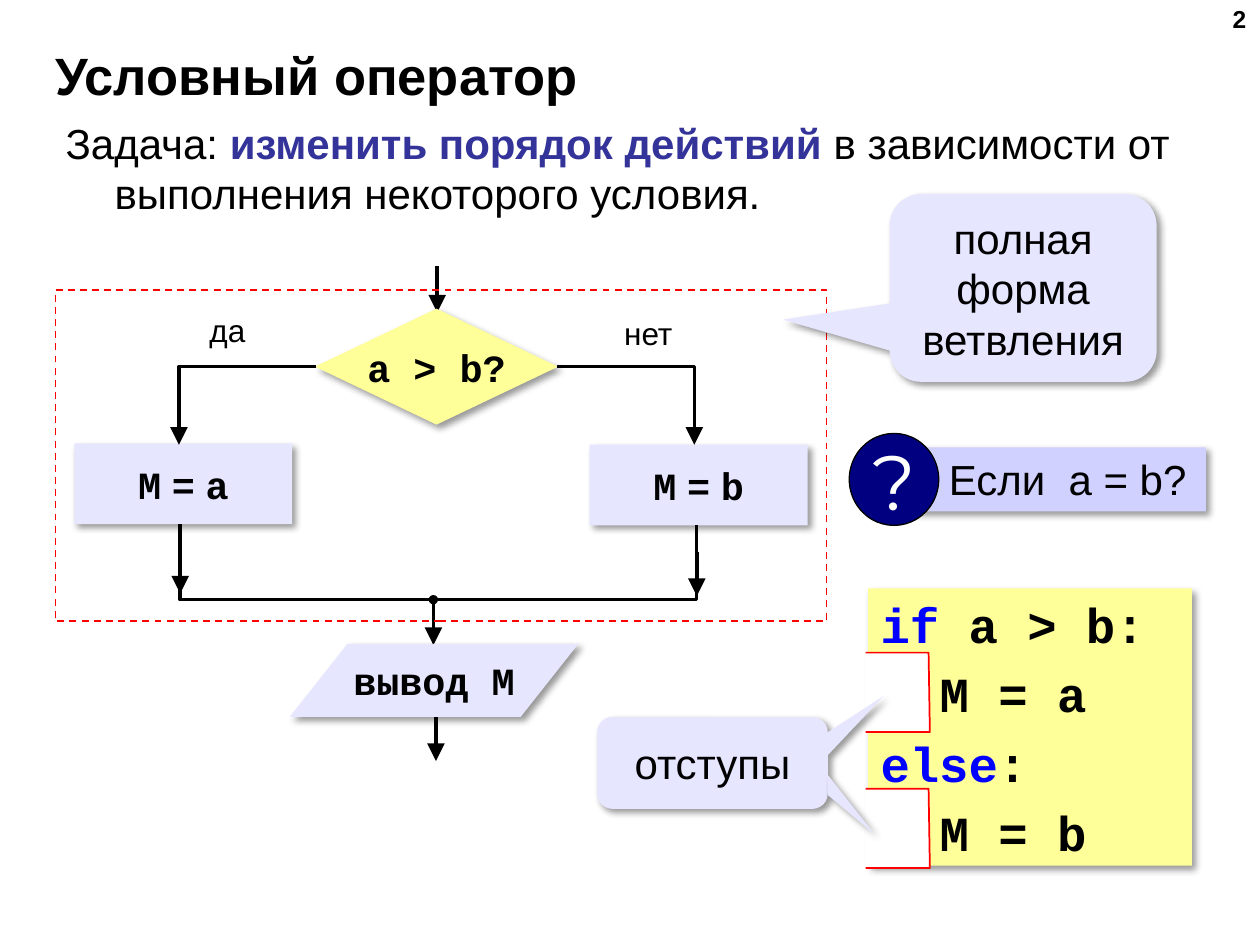
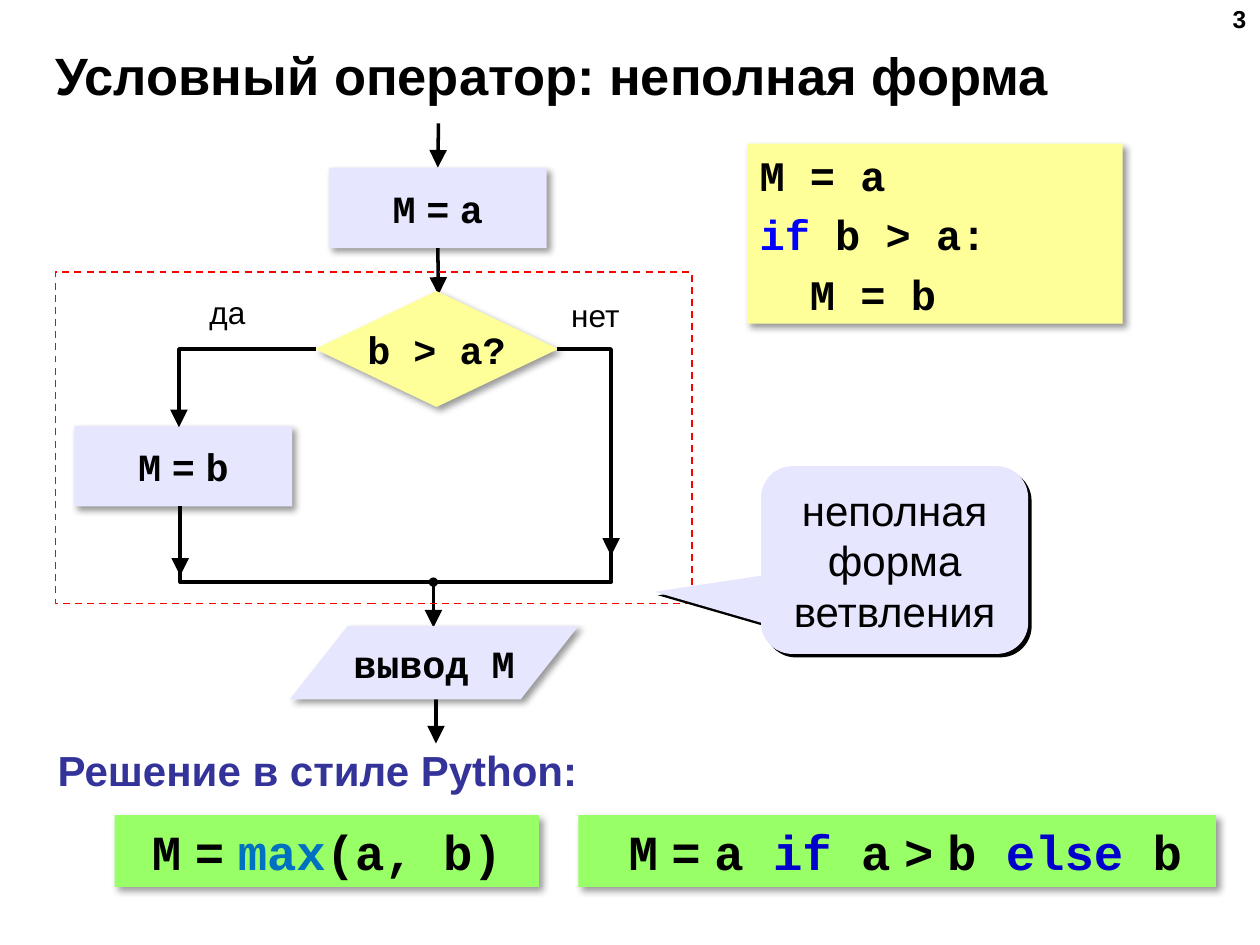
"""Builds two slides on the conditional operator: full and short form."""
from dataclasses import dataclass, replace

from lxml.etree import SubElement
from pptx import Presentation
from pptx.dml.color import RGBColor
from pptx.enum.dml import MSO_LINE
from pptx.enum.shapes import MSO_CONNECTOR, MSO_SHAPE
from pptx.enum.text import MSO_ANCHOR, MSO_AUTO_SIZE, PP_ALIGN
from pptx.oxml.ns import qn
from pptx.util import Pt

PX = 9144
BLACK = RGBColor(0x00, 0x00, 0x00)
WHITE = RGBColor(0xFF, 0xFF, 0xFF)
RED = RGBColor(0xFF, 0x00, 0x00)
INDIGO = RGBColor(0x33, 0x33, 0x99)
NAVY = RGBColor(0x00, 0x00, 0x80)
KEYWORD = RGBColor(0x00, 0x00, 0xFF)
DARK_KEYWORD = RGBColor(0x00, 0x00, 0xCC)
BUILTIN = RGBColor(0x00, 0x70, 0xC0)
LAVENDER = RGBColor(0xE6, 0xE6, 0xFF)
LILAC = RGBColor(0xD1, 0xD1, 0xFF)
YELLOW = RGBColor(0xFF, 0xFF, 0x99)
GREEN = RGBColor(0x99, 0xFF, 0x66)
SANS, MONO, DISPLAY = "Arial", "Courier New", "Montserrat"


@dataclass(frozen=True)
class Box:
    left: int
    top: int
    width: int
    height: int

    def emu(self) -> tuple:
        return tuple(v * PX for v in (self.left, self.top, self.width, self.height))

    def down(self, dy: int) -> "Box":
        return replace(self, top=self.top + dy)


@dataclass(frozen=True)
class Style:
    font: str = SANS
    size: int = 24
    bold: bool = False
    color: RGBColor = BLACK
    align: PP_ALIGN = PP_ALIGN.LEFT
    anchor: MSO_ANCHOR = MSO_ANCHOR.TOP
    wrap: bool = True


@dataclass(frozen=True)
class Run:
    text: str
    color: RGBColor | None = None
    font: str | None = None
    bold: bool | None = None


@dataclass(frozen=True)
class Line:
    runs: tuple
    indent: int = 0
    first: int = 0


@dataclass(frozen=True)
class Shadow:
    alpha: int = 40
    blur: float = 4
    dist: float = 3


@dataclass(frozen=True)
class Branch:
    """What differs between the two flowcharts."""
    dy: int
    condition: str
    yes_step: str
    no_arm: tuple
    merge_x: int
    no_label_x: int
    frame_width: int


SOFT = Shadow()
HARD = Shadow(100, 0, 2.8)
PLAIN = Style()
TITLE = Style(size=30, bold=True, anchor=MSO_ANCHOR.MIDDLE)
NUMBER = Style(size=14, bold=True, align=PP_ALIGN.RIGHT)
HEADING = Style(bold=True, color=INDIGO)
LABEL = Style(size=18, align=PP_ALIGN.CENTER)
STEP = Style(MONO, 22, True, BLACK, PP_ALIGN.CENTER, MSO_ANCHOR.MIDDLE, False)
CALLOUT = Style(align=PP_ALIGN.CENTER, anchor=MSO_ANCHOR.MIDDLE)
MARK = Style(DISPLAY, 44, False, WHITE, PP_ALIGN.CENTER, MSO_ANCHOR.MIDDLE, False)
CODE = Style(MONO, 28, True)
SMALL_CODE = replace(CODE, size=24)
CENTERED_CODE = replace(CODE, align=PP_ALIGN.CENTER)


def plain(text: str) -> Line:
    return Line((Run(text),))


def tight(text: str) -> tuple:
    """Monospaced words joined by narrow proportional spaces."""
    parts = text.replace(" ", "| |").split("|")
    return tuple(Run(s, font=SANS if s == " " else MONO) for s in parts if s)


def write(tf, lines: list, style: Style) -> None:
    tf.word_wrap = style.wrap
    tf.auto_size = MSO_AUTO_SIZE.NONE
    tf.vertical_anchor = style.anchor
    for i, line in enumerate(lines):
        p = tf.add_paragraph() if i else tf.paragraphs[0]
        p.text = line.runs[0].text
        for run in line.runs[1:]:
            p.add_run().text = run.text
        p.alignment = style.align
        p.space_before = Pt(round(style.size * 0.21) if i else 0)
        pPr = p._p.get_or_add_pPr()
        pPr.set("marL", str(line.indent * PX))
        pPr.set("indent", str(line.first * PX))
        SubElement(pPr, qn("a:buNone"))
        for r, run in zip(p.runs, line.runs):
            r.font.name = run.font or style.font
            r.font.size = Pt(style.size)
            r.font.bold = style.bold if run.bold is None else run.bold
            r.font.color.rgb = run.color or style.color


def paint(sp, fill: RGBColor | None = None, line: RGBColor | None = None,
          width: float = 1, shadow: Shadow | None = None) -> None:
    if fill is None:
        sp.fill.background()
    else:
        sp.fill.solid()
        sp.fill.fore_color.rgb = fill
    if line is None:
        sp.line.fill.background()
    else:
        sp.line.color.rgb = line
        sp.line.width = Pt(width)
    sp.shadow.inherit = False
    if shadow:
        effects = sp.element.spPr.find(qn("a:effectLst"))
        outer = SubElement(effects, qn("a:outerShdw"), blurRad=str(Pt(shadow.blur)),
                           dist=str(Pt(shadow.dist)), dir="2700000", algn="tl",
                           rotWithShape="0")
        color = SubElement(outer, qn("a:srgbClr"), val=str(BLACK))
        SubElement(color, qn("a:alpha"), val=str(shadow.alpha * 1000))


def add_arrowhead(sp) -> None:
    ln = sp.element.spPr.find(qn("a:ln"))
    SubElement(ln, qn("a:tailEnd"), type="triangle", w="lg", len="lg")


def add_text(s, box: Box, lines: list, style: Style) -> None:
    write(s.shapes.add_textbox(*box.emu()).text_frame, lines, style)


def add_panel(s, kind: MSO_SHAPE, box: Box, fill: RGBColor, lines: list,
              style: Style, shadow: Shadow = SOFT):
    sp = s.shapes.add_shape(kind, *box.emu())
    paint(sp, fill, shadow=shadow)
    write(sp.text_frame, lines, style)
    return sp


def add_step(s, box: Box, text: str):
    return add_panel(s, MSO_SHAPE.RECTANGLE, box, LAVENDER, [Line(tight(text))], STEP)


def add_callout(s, box: Box, text: str, tip: tuple, shadow: Shadow = SOFT) -> None:
    sp = add_panel(s, MSO_SHAPE.ROUNDED_RECTANGULAR_CALLOUT, box, LAVENDER,
                   [plain(text)], CALLOUT, shadow)
    sp.adjustments[0], sp.adjustments[1] = tip
    sp.adjustments[2] = 0.167


def add_arrow(s, x: int, top: int, bottom: int):
    c = s.shapes.add_connector(MSO_CONNECTOR.STRAIGHT, x * PX, top * PX, x * PX, bottom * PX)
    c.line.color.rgb = BLACK
    c.line.width = Pt(2)
    add_arrowhead(c)
    SubElement(c.element.spPr, qn("a:effectLst"))
    return c


def add_path(s, points: tuple, dy: int = 0, close: bool = False):
    moved = [(x, y + dy) for x, y in points]
    fb = s.shapes.build_freeform(*moved[0], scale=PX)
    fb.add_line_segments(moved[1:], close=close)
    return fb.convert_to_shape()


def add_flow_line(s, points: tuple, dy: int, arrow: bool = True) -> None:
    sp = add_path(s, points, dy)
    paint(sp, line=BLACK, width=2)
    if arrow:
        add_arrowhead(sp)


def add_branch(s, b: Branch) -> None:
    dy = b.dy
    add_step(s, Box(59, 352, 173, 64).down(dy), b.yes_step)
    add_panel(s, MSO_SHAPE.FLOWCHART_DECISION, Box(250, 245, 193, 92).down(dy), YELLOW,
              [plain(b.condition)], STEP)
    add_flow_line(s, b.no_arm, dy)
    add_flow_line(s, ((251, 291), (142, 291), (142, 353)), dy)
    add_flow_line(s, ((143, 416), (143, 476), (b.merge_x, 476), (b.merge_x, 417)), dy, False)
    for x, top, bottom in ((143, 436, 471), (344, 477, 512), (346, 569, 604)):
        add_arrow(s, x, top + dy, bottom + dy)
    dot = s.shapes.add_shape(MSO_SHAPE.OVAL, *Box(341, 473, 6, 6).down(dy).emu())
    paint(dot, BLACK, BLACK)
    add_text(s, Box(143, 242, 75, 40).down(dy), [plain("да")], LABEL)
    add_text(s, Box(b.no_label_x, 244, 75, 40).down(dy), [plain("нет")], LABEL)
    add_panel(s, MSO_SHAPE.FLOWCHART_DATA, Box(230, 511, 229, 58).down(dy), LAVENDER,
              [plain("вывод M")], STEP)
    frame = s.shapes.add_shape(MSO_SHAPE.RECTANGLE,
                               *Box(44, 230, b.frame_width, 263).down(dy).emu())
    paint(frame, line=RED)
    frame.line.dash_style = MSO_LINE.DASH


def place(sp, box: Box, lines: list, style: Style) -> None:
    sp.left, sp.top, sp.width, sp.height = box.emu()
    write(sp.text_frame, lines, style)


def add_slide(prs, layout: int, title: str, number: int):
    s = prs.slides.add_slide(prs.slide_layouts[layout])
    place(s.shapes.title, Box(34, 33, 916, 52), [plain(title)], TITLE)
    add_text(s, Box(766, -2, 233, 52), [plain(str(number))], NUMBER)
    return s


def build_full_form(prs) -> None:
    s = add_slide(prs, 1, "Условный оператор", 2)
    task = Line((Run("Задача: "), Run("изменить порядок действий", INDIGO, bold=True),
                 Run(" в зависимости от выполнения некоторого условия.")), 39, -39)
    place(s.placeholders[1], Box(42, 88, 925, 91), [task], PLAIN)
    add_arrow(s, 347, 211, 248)
    add_step(s, Box(468, 353, 173, 64), "M = b")
    add_branch(s, Branch(0, "a > b?", "M = a", ((442, 291), (551, 291), (551, 353)),
                         553, 477, 612))
    add_arrow(s, 553, 438, 473)
    add_callout(s, Box(706, 154, 212, 149), "полная форма ветвления", (-0.899, 0.169))

    question = add_panel(s, MSO_SHAPE.RECTANGLE, Box(725, 355, 232, 51), LILAC,
                         [plain("Если  a = b?")], PLAIN)
    question.text_frame.margin_left = 28 * PX
    mark = s.shapes.add_shape(MSO_SHAPE.OVAL, *Box(674, 344, 71, 73).emu())
    paint(mark, NAVY, BLACK, 0.75)
    write(mark.text_frame, [plain("?")], MARK)

    code = [Line((Run("if", KEYWORD), Run(" a > b:"))), Line((Run("M = a"),), 47),
            Line((Run("else", KEYWORD), Run(":"))), Line((Run("M = b"),), 47)]
    add_panel(s, MSO_SHAPE.RECTANGLE, Box(689, 467, 257, 220), YELLOW, code, CODE)
    for dy in (0, 108):
        bracket = add_path(s, ((687, 518), (737, 518), (738, 581), (687, 581)), dy)
        paint(bracket, WHITE, RED)
    add_callout(s, Box(474, 569, 183, 73), "отступы", (0.741, -0.725))
    pointer = add_path(s, ((657, 631), (694, 662), (657, 615)), close=True)
    paint(pointer, LAVENDER, shadow=SOFT)


def build_short_form(prs) -> None:
    s = add_slide(prs, 5, "Условный оператор: неполная форма", 3)
    start = add_step(s, Box(261, 133, 173, 64), "M = a")
    add_arrow(s, 348, 98, 133).end_connect(start, 0)
    add_arrow(s, 348, 197, 234).begin_connect(start, 2)
    add_branch(s, Branch(-14, "b > a?", "M = b", ((442, 291), (485, 291), (485, 455)),
                         485, 449 - 14, 505))
    add_callout(s, Box(604, 370, 212, 149), "неполная форма ветвления",
                (-0.899, 0.169), HARD)

    code = [plain("M = a"), Line((Run("if", KEYWORD), Run(" b > a:"))),
            Line((Run("M = b"),), 40)]
    add_panel(s, MSO_SHAPE.RECTANGLE, Box(593, 114, 298, 143), YELLOW, code, SMALL_CODE)

    add_text(s, Box(36, 586, 436, 50), [plain("Решение в стиле Python:")], HEADING)
    with_max = Line((*tight("M = "), Run("max", BUILTIN), Run("(a, b)")))
    add_panel(s, MSO_SHAPE.RECTANGLE, Box(91, 647, 337, 57), GREEN, [with_max], CENTERED_CODE)
    ternary = Line((*tight("M = a"), Run(" "), Run("if", DARK_KEYWORD), Run(" "),
                    *tight("a > b"), Run(" "), Run("else", DARK_KEYWORD), Run(" b")), 20, 10)
    add_panel(s, MSO_SHAPE.RECTANGLE, Box(459, 647, 506, 57), GREEN, [ternary], CODE)


def main() -> None:
    prs = Presentation()
    prs.slide_width, prs.slide_height = 1000 * PX, 750 * PX
    build_full_form(prs)
    build_short_form(prs)
    prs.save("out.pptx")


if __name__ == "__main__":
    main()
